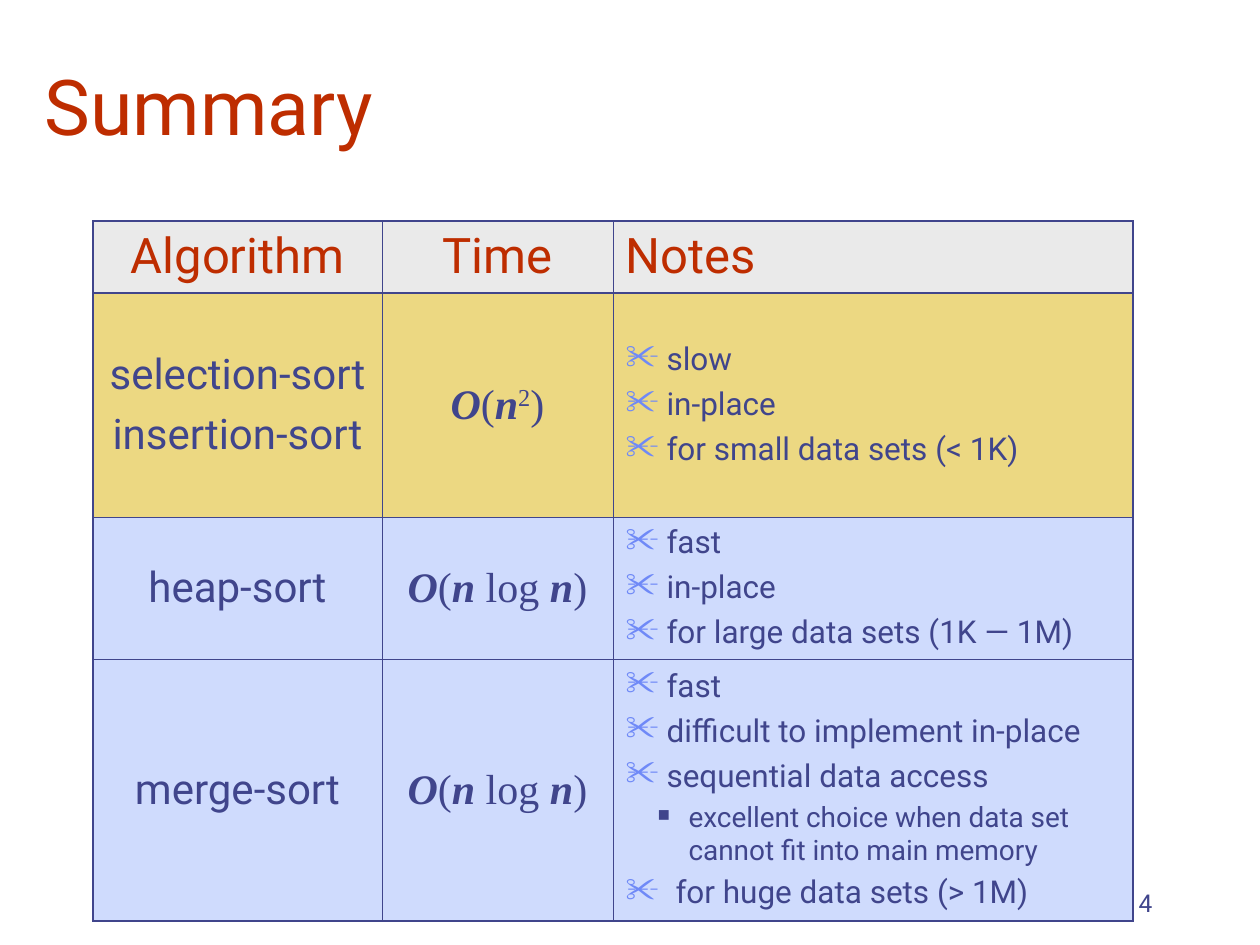
from lxml.etree import SubElement as Sub
from pptx import Presentation
from pptx.dml.color import RGBColor as RGB
from pptx.enum.text import MSO_ANCHOR as Anchor, MSO_AUTO_SIZE as AutoSize, PP_ALIGN as Align
from pptx.oxml.ns import qn
from pptx.util import Pt

THEME = dict(
    red="BE2D00", ink="40458C", bullet="6F89F7",
    header="EAEAEA", slow="ECD882", fast="CFDBFD",
    sans="Roboto", serif="Times New Roman",
    title=44, head=28, cell=24, note=18, sub=16, number=14,
    outer=1.08, inner=0.45,
)
TITLE = "Summary"
PAGE = "14"
HEADERS = ["Algorithm", "Time", "Notes"]
LINEAR_LOG = ["O", "(", "n", " log ", "n", ")"]
ROWS = [
    ("slow", ["selection-sort", "insertion-sort"], ["O", "(", "n", "2", ")"],
     [("main", "slow"), ("main", "in-place"), ("main", "for small data sets (< 1K)")]),
    ("fast", ["heap-sort"], LINEAR_LOG,
     [("main", "fast"), ("main", "in-place"), ("main", "for large data sets (1K — 1M)")]),
    ("fast", ["merge-sort"], LINEAR_LOG,
     [("main", "fast"), ("main", "difficult to implement in-place"),
      ("main", "sequential data access"),
      ("sub", "excellent choice when data set cannot fit into main memory"),
      ("last", "for huge data sets (> 1M)")]),
]
MAIN = dict(char="✂", color="bullet", pct=110, size="note", left=41, hang=41, before=4.5)
BULLETS = {
    "main": MAIN,
    "last": {**MAIN, "left": 50, "hang": 50},
    "sub": dict(char="■", color="ink", pct=60, size="sub", left=63, hang=31, before=4),
}
COLS = [289, 231, 520]
HEIGHTS = [72, 224, 142, 262]
H_LINES = ["outer", "outer", "inner", "inner", "outer"]
V_LINES = ["outer", "inner", "inner", "outer"]


def px(n):
    return round(n * 914400 / 126)


def box(*lengths):
    return [px(n) for n in lengths]


def add_run(p, text, size, color="ink", font="sans", **fmt):
    r = p.add_run()
    r.text = text
    r.font.color.rgb = RGB.from_string(THEME[color])
    for name, value in dict(size=Pt(THEME[size]), name=THEME[font], **fmt).items():
        setattr(r.font, name, value)
    return r


def paragraphs(tf, count, befores):
    for i in range(count):
        p = tf.add_paragraph() if i else tf.paragraphs[0]
        p.space_before = Pt(befores[i] if i else 0)
        yield p


def add_names(cell, names, size, color, align):
    for p, name in zip(paragraphs(cell.text_frame, len(names), [6] * len(names)), names):
        p.alignment = align
        add_run(p, name, size, color)


def add_formula(cell, parts):
    p = cell.text_frame.paragraphs[0]
    p.alignment = Align.CENTER
    for part in parts:
        variable = part in ("O", "n")
        r = add_run(p, part, "cell", font="serif", bold=variable, italic=variable)
        if part.isdigit():
            r._r.get_or_add_rPr().set("baseline", "30000")


def add_notes(cell, notes):
    styles = [BULLETS[kind] for kind, _ in notes]
    befores = [style["before"] for style in styles]
    for p, style, (_, text) in zip(paragraphs(cell.text_frame, len(notes), befores), styles, notes):
        p.alignment = Align.LEFT
        pPr = p._p.get_or_add_pPr()
        pPr.set("marL", str(px(style["left"])))
        pPr.set("indent", str(-px(style["hang"])))
        Sub(Sub(pPr, qn("a:buClr")), qn("a:srgbClr"), val=THEME[style["color"]])
        Sub(pPr, qn("a:buSzPct"), val=str(style["pct"] * 1000))
        Sub(pPr, qn("a:buChar"), char=style["char"])
        add_run(p, text, style["size"])


def format_cell(cell, row, col, fill):
    cell.vertical_anchor = Anchor.MIDDLE
    tcPr = cell._tc.get_or_add_tcPr()
    edges = dict(L=V_LINES[col], R=V_LINES[col + 1], T=H_LINES[row], B=H_LINES[row + 1])
    for side, weight in edges.items():
        ln = Sub(tcPr, qn(f"a:ln{side}"), w=str(Pt(THEME[weight])))
        Sub(Sub(ln, qn("a:solidFill")), qn("a:srgbClr"), val=THEME["ink"])
    cell.fill.solid()
    cell.fill.fore_color.rgb = RGB.from_string(THEME[fill])


def add_title(s):
    title = s.shapes.title
    title.left, title.top, title.width, title.height = box(32, 0, 1112, 157)
    tf = title.text_frame
    for name, value in dict(vertical_anchor=Anchor.BOTTOM, auto_size=AutoSize.NONE).items():
        setattr(tf, name, value)
    tf.paragraphs[0].alignment = Align.LEFT
    add_run(tf.paragraphs[0], TITLE, "title", "red")


def add_number(s):
    tf = s.shapes.add_textbox(*box(903, 861, 262, 63)).text_frame
    for name, value in dict(vertical_anchor=Anchor.BOTTOM, word_wrap=True).items():
        setattr(tf, name, value)
    tf.paragraphs[0].alignment = Align.RIGHT
    add_run(tf.paragraphs[0], PAGE, "number")


def add_summary(s):
    frame = s.shapes.add_table(len(HEIGHTS), len(COLS), *box(93, 221, sum(COLS), sum(HEIGHTS)))
    table = frame.table
    table.first_row = table.horz_banding = False
    for column, width in zip(table.columns, COLS):
        column.width = px(width)
    for row, height in zip(table.rows, HEIGHTS):
        row.height = px(height)
    fills = ["header"] + [row[0] for row in ROWS]
    for i, fill in enumerate(fills):
        for j in range(len(COLS)):
            format_cell(table.cell(i, j), i, j, fill)
    for j, text in enumerate(HEADERS):
        align = Align.LEFT if text == "Notes" else Align.CENTER
        add_names(table.cell(0, j), [text], "head", "red", align)
    for i, (_, names, formula, notes) in enumerate(ROWS, 1):
        add_names(table.cell(i, 0), names, "cell", "ink", Align.CENTER)
        add_formula(table.cell(i, 1), formula)
        add_notes(table.cell(i, 2), notes)


def main():
    prs = Presentation()
    prs.slide_width, prs.slide_height = box(1260, 945)
    s = prs.slides.add_slide(prs.slide_layouts[5])
    add_title(s)
    add_number(s)
    add_summary(s)
    prs.save("out.pptx")


if __name__ == "__main__":
    main()
